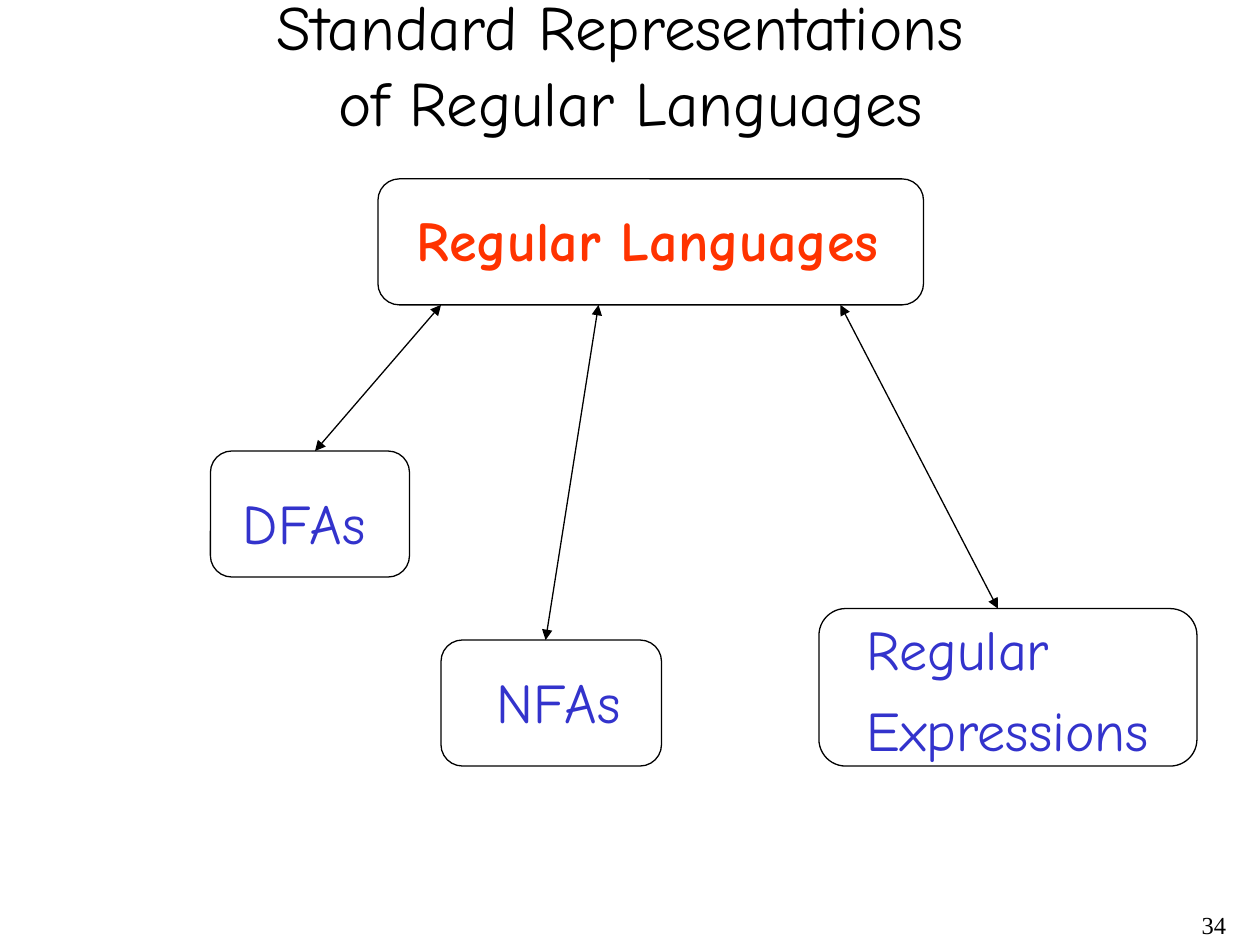
from lxml import etree
from pptx import Presentation
from pptx.dml.color import RGBColor
from pptx.enum.shapes import MSO_CONNECTOR, MSO_SHAPE
from pptx.enum.text import MSO_ANCHOR, MSO_AUTO_SIZE, PP_ALIGN
from pptx.oxml.ns import qn
from pptx.util import Inches, Pt

STRAIGHT = MSO_CONNECTOR.STRAIGHT
ROUNDED = MSO_SHAPE.ROUNDED_RECTANGLE
LEFT, CENTER, RIGHT = PP_ALIGN.LEFT, PP_ALIGN.CENTER, PP_ALIGN.RIGHT
TOP, MIDDLE = MSO_ANCHOR.TOP, MSO_ANCHOR.MIDDLE
FIT_SHAPE, NO_FIT = MSO_AUTO_SIZE.SHAPE_TO_FIT_TEXT, MSO_AUTO_SIZE.NONE
BLACK, RED, BLUE = "000000", "FF3300", "3333CC"
BLANK_LAYOUT = 6


def color(hex_string):
    return RGBColor.from_string(hex_string)


def add_text(text, left, top, width, height, size=32, font="Comic Neue",
             text_color=BLUE, bold=False, align=LEFT, anchor=TOP,
             space_before=0, wrap=False):
    """Add a text box; a newline starts a paragraph, a vertical tab a line."""
    box = slide.shapes.add_textbox(Inches(left), Inches(top),
                                   Inches(width), Inches(height))
    frame = box.text_frame
    frame.text = text
    frame.word_wrap = wrap
    frame.auto_size = NO_FIT if wrap else FIT_SHAPE
    frame.vertical_anchor = anchor
    for paragraph in frame.paragraphs:
        paragraph.alignment = align
        paragraph.space_before = Pt(space_before)
        paragraph.font.size = Pt(size)
        for run in paragraph.runs:
            run.font.name = font
            run.font.size = Pt(size)
            run.font.bold = bold
            run.font.color.rgb = color(text_color)


presentation = Presentation()
presentation.slide_width = Inches(10)
presentation.slide_height = Inches(7.5)
slide = presentation.slides.add_slide(presentation.slide_layouts[BLANK_LAYOUT])

add_text("34", 7.75, 7.17, 2.08, 0.33, size=14, font="Times New Roman",
         text_color=BLACK, align=RIGHT, wrap=True)
add_text("Standard Representations \vof Regular Languages", 0.17, 0.17, 9.67, 0.67,
         size=36, text_color=BLACK, align=CENTER, anchor=MIDDLE, wrap=True)

add_text("Regular Languages", 3.21, 1.58, 3.87, 0.64,
         text_color=RED, bold=True, space_before=8)
representations = [
    ("DFAs", 1.83, 3.83, 1.18, 0.64),
    ("NFAs", 3.84, 5.25, 1.19, 0.64),
    ("Regular\nExpressions", 6.78, 4.83, 2.45, 1.28),
]
for label, *bounds in representations:
    add_text(label, *bounds, space_before=8)

frames = [
    (3, 1.42, 4.33, 1),
    (1.67, 3.58, 1.58, 1),
    (3.5, 5.08, 1.75, 1),
    (6.5, 4.83, 3, 1.25),
]
for bounds in frames:
    shape = slide.shapes.add_shape(ROUNDED, *map(Inches, bounds))
    shape.adjustments[0] = 0.17
    shape.shadow.inherit = False
    shape.fill.background()
    shape.line.color.rgb = color(BLACK)
    shape.line.width = Pt(0.75)

# The arrows meet the frames slightly off the middle of their sides.
arrows = [
    (3.5, 2.42, 2.5, 3.58),
    (4.75, 2.42, 4.33, 5.08),
    (6.67, 2.42, 7.92, 4.83),
]
for ends in arrows:
    arrow = slide.shapes.add_connector(STRAIGHT, *map(Inches, ends))
    arrow.line.color.rgb = color(BLACK)
    arrow.line.width = Pt(0.75)
    properties = arrow.line.color and arrow._element.spPr
    line = properties.find(qn("a:ln"))
    for arrowhead in ("a:headEnd", "a:tailEnd"):
        etree.SubElement(line, qn(arrowhead), type="triangle")
    etree.SubElement(properties, qn("a:effectLst"))

presentation.save("out.pptx")
